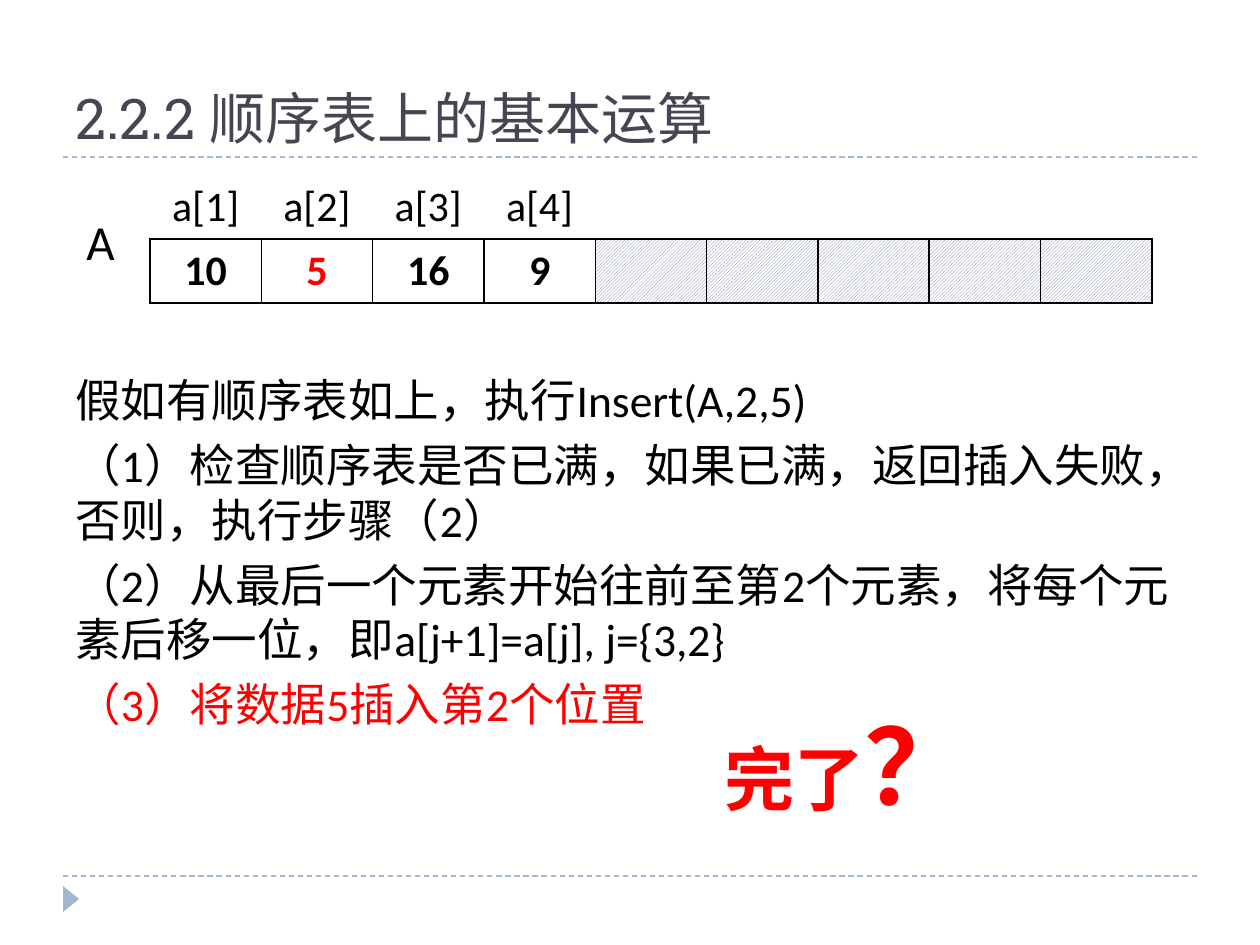
from pptx import Presentation
from pptx.dml.color import RGBColor
from pptx.enum.dml import MSO_LINE, MSO_PATTERN
from pptx.enum.shapes import MSO_CONNECTOR, MSO_SHAPE
from pptx.enum.text import MSO_ANCHOR, MSO_AUTO_SIZE, PP_ALIGN
from pptx.oxml import parse_xml
from pptx.oxml.ns import nsdecls
from pptx.oxml.xmlchemy import OxmlElement
from pptx.util import Emu, Pt

PIXELS_PER_INCH = 126
BLACK, WHITE, RED = "000000", "FFFFFF", "FF0000"
TITLE_COLOUR, ACCENT, HATCH = "464653", "9FB8CD", "727CA3"

COLUMN_COUNT = 9
LABELS = ["a[1]", "a[2]", "a[3]", "a[4]"]
VALUES = ["10", "5", "16", "9"]
INSERTED_COLUMN = 1

STEPS = [
    ("假如有顺序表如上，执行Insert(A,2,5)", BLACK),
    ("（1）检查顺序表是否已满，如果已满，返回插入失败，否则，执行步骤（2）", BLACK),
    ("（2）从最后一个元素开始往前至第2个元素，将每个元素后移一位，即a[j+1]=a[j], j={3,2}", BLACK),
    ("（3）将数据5插入第2个位置", RED),
]


def px(length):
    return Emu(round(length * 914400 / PIXELS_PER_INCH))


def colour(hex_string):
    return RGBColor.from_string(hex_string)


def set_font(font, size, hex_string, name="Calibri", bold=False):
    font.size = Pt(size)
    font.color.rgb = colour(hex_string)
    font.name = name
    font.bold = bold


def add_title(slide, text):
    title = slide.shapes.title
    title.left, title.top, title.width, title.height = px(63), px(21), px(1134), px(136)
    frame = title.text_frame
    frame.text = text
    frame.auto_size = MSO_AUTO_SIZE.NONE
    frame.vertical_anchor = MSO_ANCHOR.BOTTOM
    paragraph = frame.paragraphs[0]
    paragraph.alignment = PP_ALIGN.LEFT
    set_font(paragraph.font, 32, TITLE_COLOUR, "Roboto Slab")


def add_dashed_line(slide, top):
    line = slide.shapes.add_connector(
        MSO_CONNECTOR.STRAIGHT, px(63), px(top), px(1197), px(top))
    line.line.color.rgb = colour(ACCENT)
    line.line.width = Pt(0.75)
    line.line.dash_style = MSO_LINE.DASH
    line._element.spPr.append(OxmlElement("a:effectLst"))


def add_page_marker(slide):
    marker = slide.shapes.add_shape(
        MSO_SHAPE.ISOSCELES_TRIANGLE, px(58), px(891), px(26), px(16))
    marker.rotation = 90
    marker.shadow.inherit = False
    marker.fill.solid()
    marker.fill.fore_color.rgb = colour(ACCENT)
    marker.line.fill.background()


def add_text_box(slide, left, top, width, height, wrap=False):
    frame = slide.shapes.add_textbox(px(left), px(top), px(width), px(height)).text_frame
    frame.word_wrap = wrap
    return frame


def add_steps(slide):
    frame = add_text_box(slide, 63, 168, 1134, 680, wrap=True)
    frame.margin_top = px(204)  # keeps the text below the table
    for index, (text, text_colour) in enumerate(STEPS):
        paragraph = frame.add_paragraph() if index else frame.paragraphs[0]
        paragraph.text = text
        paragraph.space_before = Pt(6 if index else 0)
        set_font(paragraph.font, 26, text_colour)


def set_borders(cell, sides):
    properties = cell._tc.get_or_add_tcPr()
    for index, side in enumerate(sides):
        properties.insert(index, parse_xml(
            f'<a:ln{side} {nsdecls("a")} w="12700"><a:solidFill>'
            f'<a:srgbClr val="{BLACK}"/></a:solidFill></a:ln{side}>'))


def fill_cell(cell, text, text_colour=BLACK, bold=False):
    cell.text = text
    cell.vertical_anchor = MSO_ANCHOR.MIDDLE
    paragraph = cell.text_frame.paragraphs[0]
    paragraph.alignment = PP_ALIGN.CENTER
    set_font(paragraph.font, 24, text_colour, bold=bold)


def hatch_cell(cell):
    cell.fill.patterned()
    cell.fill.pattern = MSO_PATTERN.LIGHT_UPWARD_DIAGONAL
    cell.fill.fore_color.rgb = colour(HATCH)
    cell.fill.back_color.rgb = colour(WHITE)


def add_array_table(slide):
    table = slide.shapes.add_table(
        2, COLUMN_COUNT, px(150), px(175), px(1002), px(128)).table
    table.first_row = False
    table.horz_banding = False
    for column in range(COLUMN_COUNT):
        label_cell, value_cell = table.cell(0, column), table.cell(1, column)
        label_cell.fill.background()
        if column < len(VALUES):
            fill_cell(label_cell, LABELS[column])
            value_colour = RED if column == INSERTED_COLUMN else BLACK
            fill_cell(value_cell, VALUES[column], value_colour, bold=True)
            value_cell.fill.background()
        else:
            hatch_cell(value_cell)
        set_borders(label_cell, "B")
        set_borders(value_cell, "LRTB")


def add_array_name(slide):
    paragraph = add_text_box(slide, 74, 205, 50, 72).paragraphs[0]
    paragraph.text = "A"
    set_font(paragraph.font, 28, BLACK)


def add_question(slide):
    paragraph = add_text_box(slide, 712, 694, 273, 140).paragraphs[0]
    for text, size in (("完了", 40), ("？", 60)):
        run = paragraph.add_run()
        run.text = text
        set_font(run.font, size, RED, bold=True)


def main():
    presentation = Presentation()
    presentation.slide_width, presentation.slide_height = px(1260), px(945)
    slide = presentation.slides.add_slide(presentation.slide_layouts[5])

    # Frame of the page
    for top in (876, 157):
        add_dashed_line(slide, top)
    add_page_marker(slide)

    # Title and steps
    add_title(slide, "2.2.2 顺序表上的基本运算")
    add_steps(slide)

    # Array with its name, and the closing question
    add_array_table(slide)
    add_array_name(slide)
    add_question(slide)

    presentation.save("out.pptx")


if __name__ == "__main__":
    main()
